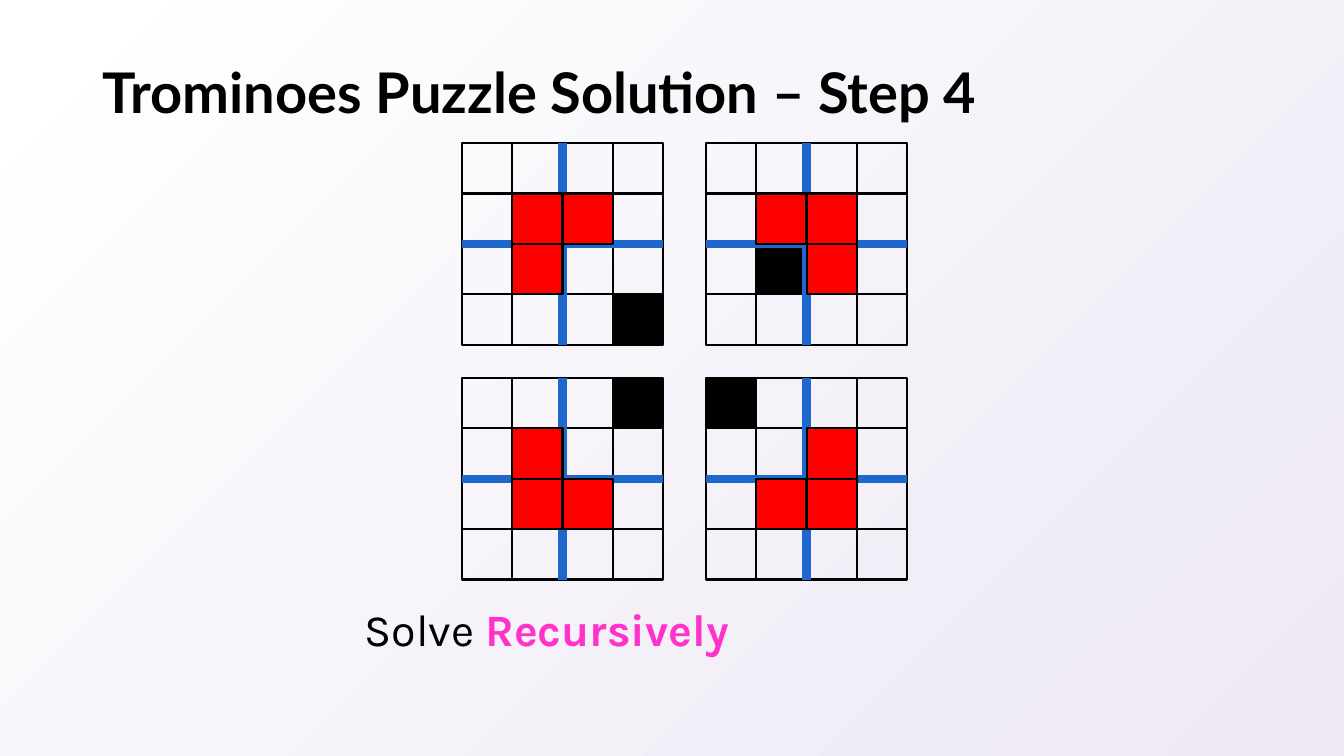
from itertools import product

from lxml import etree
from pptx import Presentation
from pptx.dml.color import RGBColor
from pptx.enum.shapes import MSO_CONNECTOR, MSO_SHAPE
from pptx.enum.text import MSO_ANCHOR, MSO_AUTO_SIZE
from pptx.oxml.ns import qn
from pptx.util import Pt

RECT = MSO_SHAPE.RECTANGLE
LINE = MSO_CONNECTOR.STRAIGHT
MIDDLE = MSO_ANCHOR.MIDDLE
GROW = MSO_AUTO_SIZE.SHAPE_TO_FIT_TEXT
FIXED = MSO_AUTO_SIZE.NONE

PX = 9144
CELL = 50
SIDE = 4
THEME = {
    "ink": "000000", "red": "FF0000", "blue": "1E68CD", "pink": "FF33CC",
    "back": ("FFFFFF", "EDE8F4"), "edge": 1.5, "axis": 6,
    "title": {"name": "Lato", "size": Pt(40), "bold": True},
    "plain": {"name": "Karla", "size": Pt(32), "bold": False},
    "strong": {"name": "Karla", "size": Pt(32), "bold": True},
}
BOARDS = [
    {"at": (458, 142), "black": (3, 3), "red": [(1, 2), (1, 1), (2, 1)]},
    {"at": (700, 142), "black": (1, 2), "red": [(1, 1), (2, 1), (2, 2)]},
    {"at": (458, 375), "black": (3, 0), "red": [(2, 2), (1, 2), (1, 1)]},
    {"at": (700, 375), "black": (0, 0), "red": [(2, 1), (2, 2), (1, 2)]},
]


def px(*nums):
    return [n * PX for n in nums]


def tint(name):
    return RGBColor.from_string(THEME.get(name, name))


def apply(item, form):
    for key, value in form.items():
        setattr(item, key, value)


def paint(slide):
    fill = slide.background.fill
    fill.gradient()
    fill.gradient_angle = 315
    for stop, shade, place in zip(fill.gradient_stops, THEME["back"], (0, 1)):
        stop.color.rgb = tint(shade)
        stop.position = place


def add_text(slide, box, runs, frame, para):
    text = slide.shapes.add_textbox(*px(*box)).text_frame
    apply(text, {"word_wrap": True, **frame})
    line = text.paragraphs[0]
    apply(line, para)
    for words, style, shade in runs:
        run = line.add_run()
        run.text = words
        apply(run.font, THEME[style])
        run.font.color.rgb = tint(shade)


def add_cell(group, board, spot, shade=None):
    left, top = (start + CELL * step for start, step in zip(board["at"], spot))
    cell = group.shapes.add_shape(RECT, *px(left, top, CELL, CELL))
    cell.shadow.inherit = False
    if shade:
        cell.fill.solid()
        cell.fill.fore_color.rgb = tint(shade)
    else:
        cell.fill.background()
    cell.line.color.rgb = tint("ink")
    cell.line.width = Pt(THEME["edge"])


def add_grid(slide, board):
    group = slide.shapes.add_group_shape()
    for row, col in product(range(SIDE), repeat=2):
        spot = (col, row)
        if spot not in board["red"]:
            add_cell(group, board, spot, "ink" if spot == board["black"] else None)


def add_axes(slide, board):
    left, top = board["at"]
    full = CELL * SIDE
    half = full // 2
    for ends in (
        (left + half, top, left + half, top + full),
        (left + full, top + half, left, top + half),
    ):
        axis = slide.shapes.add_connector(LINE, *px(*ends))
        axis.line.color.rgb = tint("blue")
        axis.line.width = Pt(THEME["axis"])
        etree.SubElement(axis._element.spPr, qn("a:effectLst"))


def add_piece(slide, board):
    group = slide.shapes.add_group_shape()
    for spot in board["red"]:
        add_cell(group, board, spot, "red")


def main():
    deck = Presentation()
    deck.slide_width, deck.slide_height = px(1333, 750)
    slide = deck.slides.add_slide(deck.slide_layouts[6])
    paint(slide)
    add_text(slide, (92, 40, 1150, 109),
             [("Trominoes Puzzle Solution – Step 4", "title", "ink")],
             {"vertical_anchor": MIDDLE, "auto_size": FIXED}, {"line_spacing": 0.9})
    for board in BOARDS:
        add_grid(slide, board)
    add_text(slide, (352, 592, 701, 64),
             [("Solve ", "plain", "ink"), ("Recursively", "strong", "pink")],
             {"auto_size": GROW}, {})
    for board in BOARDS:
        add_axes(slide, board)
    for board in BOARDS:
        add_piece(slide, board)
    deck.save("out.pptx")


if __name__ == "__main__":
    main()
